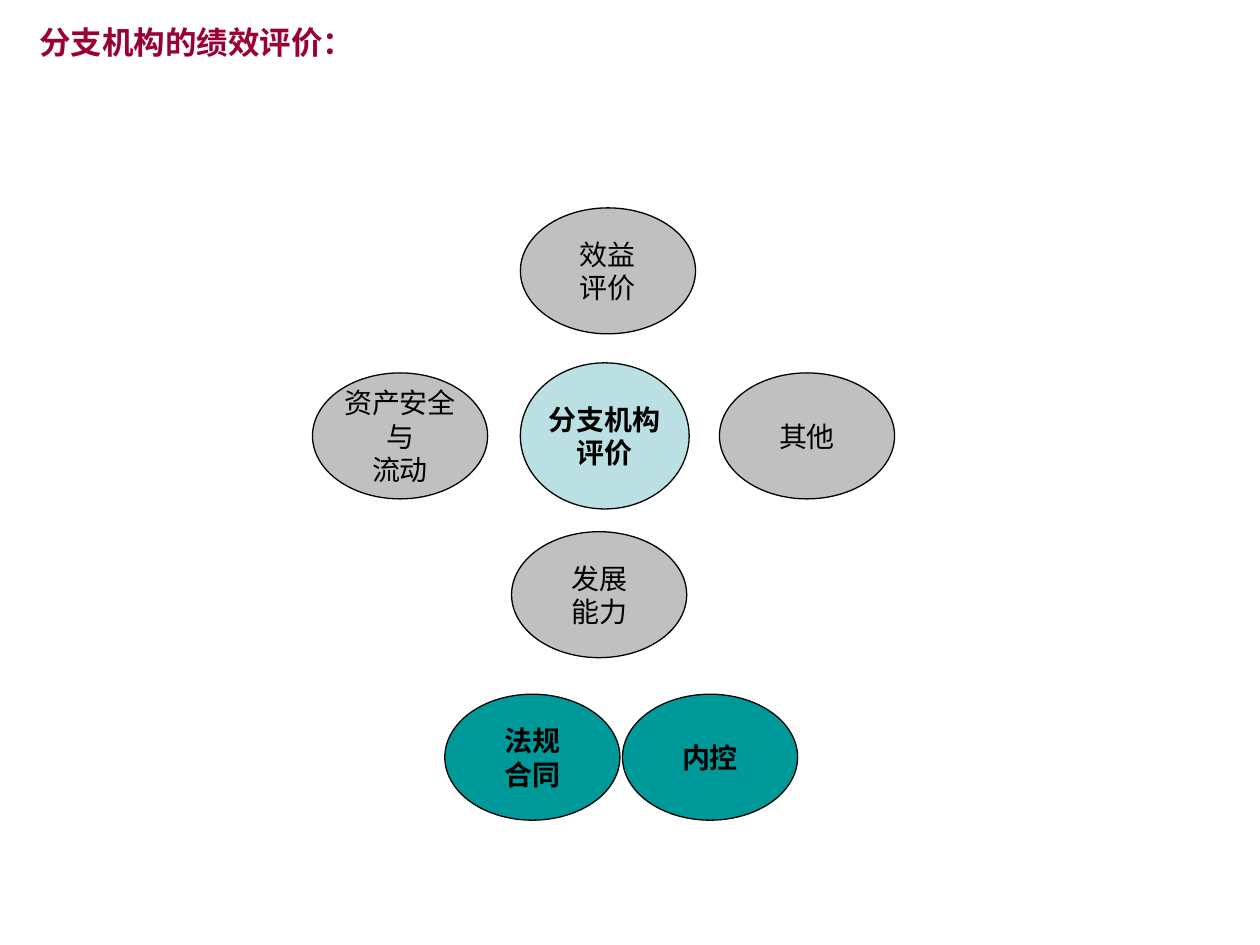
"""Build the branch performance evaluation slide."""
from pptx import Presentation
from pptx.dml.color import RGBColor
from pptx.enum.shapes import MSO_SHAPE
from pptx.enum.text import MSO_ANCHOR, MSO_AUTO_SIZE, PP_ALIGN
from pptx.util import Inches, Pt

OVAL = MSO_SHAPE.OVAL
TOP, MIDDLE = MSO_ANCHOR.TOP, MSO_ANCHOR.MIDDLE
LEFT, CENTER = PP_ALIGN.LEFT, PP_ALIGN.CENTER
NO_AUTOFIT = MSO_AUTO_SIZE.NONE

CRIMSON = RGBColor(0x99, 0x00, 0x33)
BLACK = RGBColor(0x00, 0x00, 0x00)
PALE_BLUE = RGBColor(0xBB, 0xE0, 0xE3)
GRAY = RGBColor(0xC0, 0xC0, 0xC0)
TEAL = RGBColor(0x00, 0x99, 0x99)

TITLE = "分支机构的绩效评价："
HUB_SIZE = (1.34, 1.16)
NODE_SIZE = (1.39, 1)
SIDE_TOP, BASE_TOP = 2.96, 5.51
OVALS = [
    (["分支机构", "评价"], (4.13, 2.88), HUB_SIZE, PALE_BLUE, True),
    (["资产安全", "与", "流动"], (2.48, SIDE_TOP), NODE_SIZE, GRAY, False),
    (["效益", "评价"], (4.13, 1.65), NODE_SIZE, GRAY, False),
    (["发展", "能力"], (4.06, 4.22), NODE_SIZE, GRAY, False),
    (["其他"], (5.71, SIDE_TOP), NODE_SIZE, GRAY, False),
    (["法规", "合同"], (3.53, BASE_TOP), NODE_SIZE, TEAL, True),
    (["内控"], (4.94, BASE_TOP), NODE_SIZE, TEAL, True),
]


def write(tf, lines, size, color, bold, align, anchor):
    tf.word_wrap = False
    tf.auto_size = NO_AUTOFIT
    tf.vertical_anchor = anchor
    for i, line in enumerate(lines):
        p = tf.add_paragraph() if i else tf.paragraphs[0]
        p.alignment = align
        r = p.add_run()
        r.text = line
        r.font.name = "Arial"
        r.font.size = Pt(size)
        r.font.bold = bold
        r.font.color.rgb = color


def add_oval(shapes, lines, position, size, fill, bold):
    sp = shapes.add_shape(OVAL, *map(Inches, position + size))
    sp.shadow.inherit = False
    sp.fill.solid()
    sp.fill.fore_color.rgb = fill
    sp.line.color.rgb = BLACK
    sp.line.width = Pt(0.75)
    write(sp.text_frame, lines, 16, BLACK, bold, CENTER, MIDDLE)


def main():
    prs = Presentation()
    prs.slide_width, prs.slide_height = Inches(10), Inches(7.5)
    s = prs.slides.add_slide(prs.slide_layouts[5])

    title = s.shapes.title
    title.left, title.top = Inches(0.21), Inches(0.13)
    title.width, title.height = Inches(2.7), Inches(0.4)
    write(title.text_frame, [TITLE], 18, CRIMSON, True, LEFT, TOP)

    diagram = s.shapes.add_group_shape()
    for oval in OVALS:
        add_oval(diagram.shapes, *oval)

    prs.save("out.pptx")


if __name__ == "__main__":
    main()
